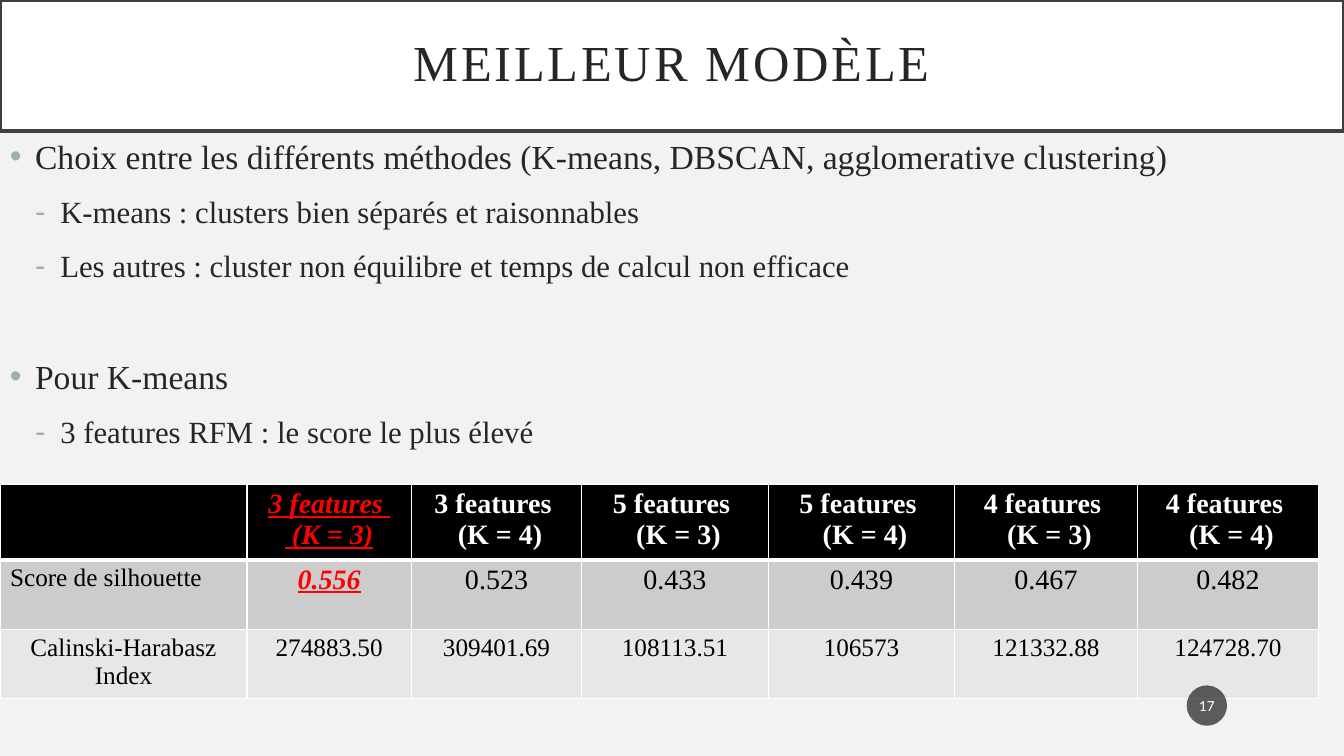
"""Build the slide on the best clustering model."""
from pptx import Presentation, util as u
from pptx.dml.color import RGBColor
from pptx.enum import shapes, text
from pptx.oxml import parse_xml
from pptx.oxml.ns import nsdecls, qn

SERIF = "Times New Roman"
INK, WHITE, BLACK, RED = "262626", "FFFFFF", "000000", "FF0000"
CENTER = text.PP_ALIGN.CENTER

POINTS = [
    (0, "Choix entre les différents méthodes (K-means, DBSCAN, agglomerative clustering)", 10),
    (1, "K-means : clusters bien séparés et raisonnables", 10),
    (1, "Les autres : cluster non équilibre et temps de calcul non efficace", 10),
    (0, "Pour K-means", 49.5),
    (1, "3 features RFM : le score le plus élevé", 10),
]
COLUMNS = [2.45, 1.63, 1.69, 1.85, 1.85, 1.81, 1.8]
HEADINGS = [""] + [f"{count} features \n (K = {clusters})"
                   for count in (3, 5, 4) for clusters in (3, 4)]
SILHOUETTE = ["Score de silhouette", "0.556", "0.523", "0.433", "0.439", "0.467", "0.482"]
CALINSKI = ["Calinski-Harabasz Index", "274883.50", "309401.69", "108113.51",
            "106573", "121332.88", "124728.70"]
ROWS = [(HEADINGS, 0.71, BLACK, WHITE, 20), (SILHOUETTE, 0.69, "CCCCCC", BLACK, 20),
        (CALINSKI, 0.68, "E7E7E7", BLACK, 18)]


def color(value):
    """Turn a hex string into a colour."""
    return RGBColor.from_string(value)


def element(tag, attributes="", inner=""):
    """Make a drawing element."""
    return parse_xml(f"<a:{tag} {nsdecls('a')} {attributes}>{inner}</a:{tag}>")


class Slide:
    """Hold the page and draw its elements in one style."""

    def __init__(self, page, background):
        """Keep the page and paint its background."""
        self.page = page
        page.background.fill.solid()
        page.background.fill.fore_color.rgb = color(background)

    def style(self, para, size, ink, font=SERIF, align=None):
        """Set the font and alignment of a paragraph."""
        para.font.size, para.font.name = u.Pt(size), font
        para.font.color.rgb = color(ink)
        para.alignment = align

    def shape(self, kind, place, fill, wording, size, ink, font, insets):
        """Draw a filled shape with centred text."""
        box = self.page.shapes.add_shape(kind, *map(u.Inches, place))
        box.shadow.inherit = False
        box.fill.solid()
        box.fill.fore_color.rgb = color(fill)
        box.line.fill.background()
        frame = box.text_frame
        frame.vertical_anchor = text.MSO_ANCHOR.MIDDLE
        frame.margin_left = frame.margin_right = u.Inches(insets[0])
        frame.margin_top = frame.margin_bottom = u.Inches(insets[1])
        para = frame.paragraphs[0]
        para.text = wording
        self.style(para, size, ink, font, CENTER)
        return box

    def title(self, wording):
        """Draw the outlined title band."""
        box = self.shape(shapes.MSO_SHAPE.RECTANGLE, (0, 0, 13.33, 1.3), WHITE,
                         wording, 36, INK, SERIF, (0.2, 0.2))
        box.line.color.rgb = color("404040")
        box.line.width = u.Pt(2.5)
        para = box.text_frame.paragraphs[0]
        para.line_spacing = 0.9
        para.runs[0].font._element.set("spc", "200")

    def badge(self, wording):
        """Draw the translucent page number."""
        box = self.shape(shapes.MSO_SHAPE.OVAL, (11.77, 6.8, 0.4, 0.4), "1D1D1D",
                         wording, 11, WHITE, "Calibri", (0.02, 0.05))
        tint = box.fill._xPr.find(qn("a:solidFill"))[0]
        tint.append(element("alpha", 'val="70000"'))

    def bullets(self, points):
        """Write the two-level list."""
        box = self.page.shapes.add_textbox(*map(u.Inches, (0, 1.3, 13.33, 6.2)))
        frame = box.text_frame
        frame.word_wrap = True
        for index, (level, wording, before) in enumerate(points):
            para = frame.add_paragraph() if index else frame.paragraphs[0]
            para.text, para.level = wording, level
            self.style(para, 24 - 2 * level, INK)
            para.space_before, para.space_after = u.Pt(before), u.Pt(2)
            layout = para._p.get_or_add_pPr()
            layout.set("marL", str(u.Inches(0.25 * (level + 1))))
            layout.set("indent", str(u.Inches(-0.25)))
            marks = [element("buClr", inner='<a:srgbClr val="9BAFB5"/>'),
                     element("buFont", 'typeface="Arial"'),
                     element("buChar", f'char="{"•-"[level]}"')]
            for offset, mark in enumerate(marks):
                layout.insert(2 + offset, mark)

    def cell(self, cell, wording, fill, ink, size, align, bold, chosen, bottom):
        """Fill one table cell and draw its borders."""
        cell.fill.solid()
        cell.fill.fore_color.rgb = color(fill)
        cell.margin_top = cell.margin_bottom = u.Inches(0.04)
        cell.text = wording
        for para in cell.text_frame.paragraphs:
            self.style(para, size, RED if chosen else ink, align=align)
            para.font.bold = bold or chosen
            para.font.italic = para.font.underline = chosen
        borders = {"lnL": 1, "lnR": 1, "lnT": 1, "lnB": bottom}
        for index, (side, width) in enumerate(borders.items()):
            line = element(side, f'w="{u.Pt(width)}"',
                           f'<a:solidFill><a:srgbClr val="{WHITE}"/></a:solidFill>')
            cell._tc.get_or_add_tcPr().insert(index, line)

    def table(self, columns, rows):
        """Draw the score table with the best model marked."""
        place = (0, 4.81, sum(columns), sum(row[1] for row in rows))
        grid = self.page.shapes.add_table(len(rows), len(columns),
                                          *map(u.Inches, place)).table
        for column, width in zip(grid.columns, columns):
            column.width = u.Inches(width)
        for top, (wordings, height, fill, ink, size) in enumerate(rows):
            grid.rows[top].height = u.Inches(height)
            for left, wording in enumerate(wordings):
                label = (top, left) == (1, 0)
                self.cell(grid.cell(top, left), wording, fill, ink,
                          18 if label else size, None if label else CENTER,
                          top == 0, left == 1 and top < 2, 1 if top else 3)


def main():
    """Build and save the deck."""
    deck = Presentation()
    deck.slide_width, deck.slide_height = u.Inches(13.33), u.Inches(7.5)
    slide = Slide(deck.slides.add_slide(deck.slide_layouts[6]), "F2F2F2")
    slide.title("MEILLEUR MODÈLE")
    slide.bullets(POINTS)
    slide.table(COLUMNS, ROWS)
    slide.badge("17")
    deck.save("out.pptx")


if __name__ == "__main__":
    main()
